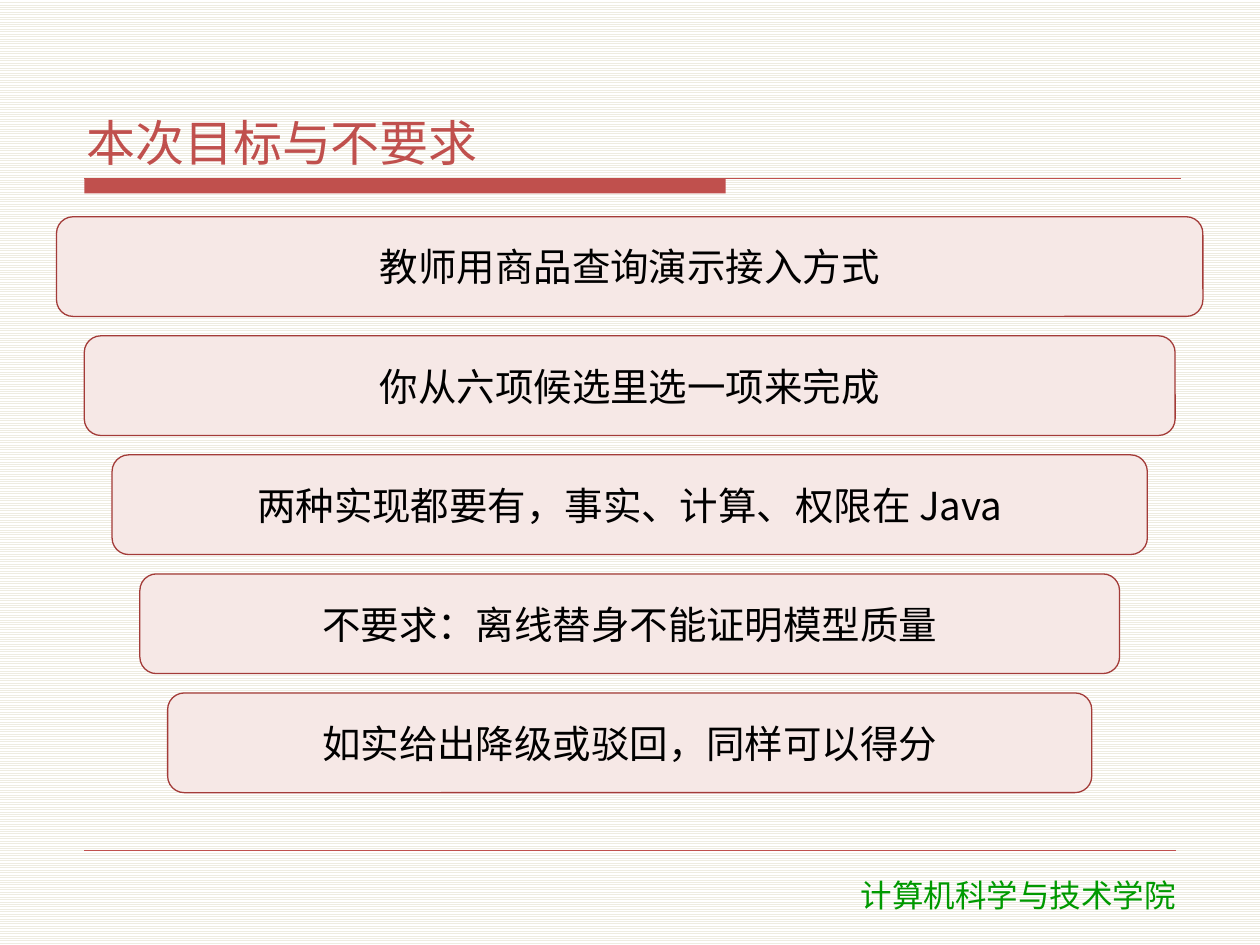
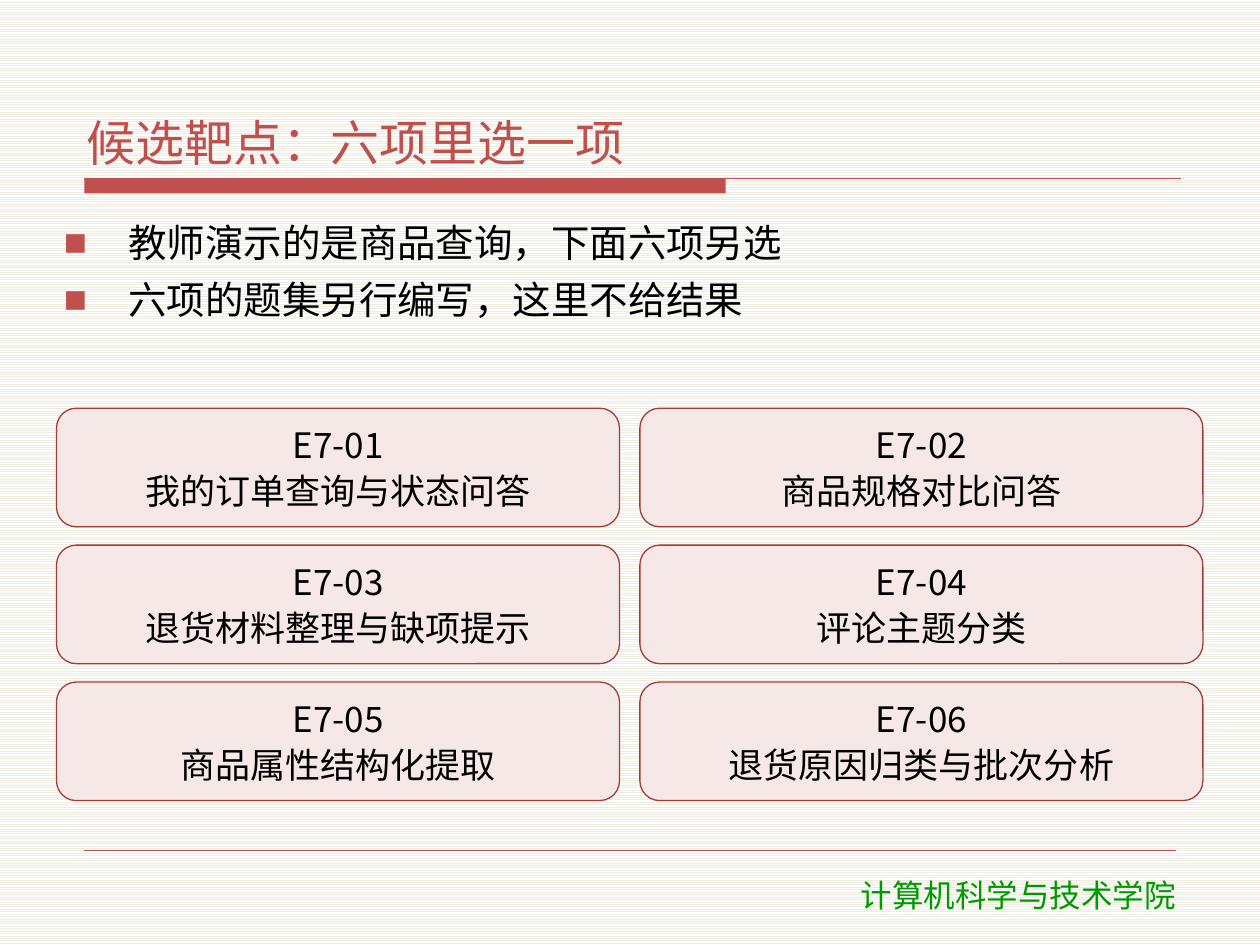
from lxml.etree import SubElement
from pptx import Presentation
from pptx.dml.color import RGBColor
from pptx.enum.dml import MSO_PATTERN
from pptx.enum.shapes import MSO_CONNECTOR, MSO_SHAPE
from pptx.enum.text import MSO_ANCHOR, MSO_AUTO_SIZE, PP_ALIGN
from pptx.oxml.ns import qn
from pptx.util import Cm, Pt

RED = RGBColor(0xC0, 0x50, 0x4D)
DARK_RED = RGBColor(0xA3, 0x3B, 0x38)
PINK = RGBColor(0xF6, 0xE8, 0xE6)
GREEN = RGBColor(0x00, 0x99, 0x00)
BLACK = RGBColor(0x00, 0x00, 0x00)
CREAM = RGBColor(0xEE, 0xEC, 0xE1)
WHITE = RGBColor(0xFF, 0xFF, 0xFF)
CJK_FONT = "Noto Sans CJK SC"
FOOTER_FONT = "DejaVu Sans"

FRAME = {
    "word_wrap": True,
    "auto_size": MSO_AUTO_SIZE.NONE,
    "margin_left": Cm(0.15),
    "margin_right": Cm(0.15),
    "margin_top": Cm(0.05),
    "margin_bottom": Cm(0.05),
}
TITLE_BOX = {"left": Cm(1.59), "top": Cm(0.84), "width": Cm(22.22), "height": Cm(2.67)}
LIST_BOX = {"left": Cm(1.14), "top": Cm(4.37), "width": Cm(23.11), "height": Cm(3.66)}


def write_text(sp, lines, size, color, align, anchor, font=CJK_FONT, gap=0, bullet=None):
    tf = sp.text_frame
    for name, value in {**FRAME, "vertical_anchor": anchor}.items():
        setattr(tf, name, value)
    for i, line in enumerate(lines):
        p = tf.paragraphs[0] if i == 0 else tf.add_paragraph()
        if bullet:
            pPr = p._p.get_or_add_pPr()
            pPr.set("marL", str(Cm(1.3)))
            pPr.set("indent", str(-Cm(1.3)))
            SubElement(SubElement(pPr, qn("a:buClr")), qn("a:srgbClr"), val=str(RED))
            SubElement(pPr, qn("a:buChar"), char=bullet)
        spacing = {
            "alignment": align,
            "space_before": Pt(gap if i else 0),
            "space_after": Pt(2),
        }
        for name, value in spacing.items():
            setattr(p, name, value)
        r = p.add_run()
        r.text = line
        for name, value in {"size": Pt(size), "name": font, "bold": False}.items():
            setattr(r.font, name, value)
        r.font.color.rgb = color
        SubElement(r._r.get_or_add_rPr(), qn("a:ea"), typeface=font)


def add_rule(s, right, y, width):
    line = s.shapes.add_connector(MSO_CONNECTOR.STRAIGHT, Cm(1.7), y, right, y)
    line.line.color.rgb = RED
    line.line.width = Pt(width)
    SubElement(line._element.spPr, qn("a:effectLst"))


goals = [
    "教师用商品查询演示接入方式",
    "你从六项候选里选一项来完成",
    "两种实现都要有，事实、计算、权限在 Java",
    "不要求：离线替身不能证明模型质量",
    "如实给出降级或驳回，同样可以得分",
]
topics = [
    "我的订单查询与状态问答",
    "商品规格对比问答",
    "退货材料整理与缺项提示",
    "评论主题分类",
    "商品属性结构化提取",
    "退货原因归类与批次分析",
]
goal_cards = [
    (1.14 + 0.56 * i, 4.37 + 2.4 * i, 23.11 - 1.12 * i, 2.01, [goal])
    for i, goal in enumerate(goals)
]
topic_cards = [
    (1.14 + 11.76 * (i % 2), 8.23 + 2.76 * (i // 2), 11.35, 2.39, [f"E7-{i + 1:02}", topic])
    for i, topic in enumerate(topics)
]
slides = [
    {"title": "本次目标与不要求", "layout": 5, "list": [], "cards": goal_cards, "size": 22},
    {
        "title": "候选靶点：六项里选一项",
        "layout": 1,
        "list": ["教师演示的是商品查询，下面六项另选", "六项的题集另行编写，这里不给结果"],
        "cards": topic_cards,
        "size": 20,
    },
]

prs = Presentation()
prs.slide_width = Cm(25.4)
prs.slide_height = Cm(19.05)

fill = prs.slide_master.background.fill
fill.patterned()
fill.pattern = MSO_PATTERN.LIGHT_HORIZONTAL
fill.fore_color.rgb = CREAM
fill.back_color.rgb = WHITE

for content in slides:
    s = prs.slides.add_slide(prs.slide_layouts[content["layout"]])

    band = s.shapes.add_shape(MSO_SHAPE.RECTANGLE, Cm(1.7), Cm(3.6), Cm(12.93), Cm(0.3))
    band.shadow.inherit = False
    band.fill.solid()
    band.fill.fore_color.rgb = RED
    band.line.fill.background()
    add_rule(s, Cm(23.8), Cm(3.6), 0.75)
    add_rule(s, Cm(23.7), Cm(17.15), 0.25)

    footer = s.shapes.add_textbox(Cm(15.42), Cm(17.6), Cm(10.21), Cm(1.02))
    write_text(footer, ["计算机科学与技术学院"], 18, GREEN, PP_ALIGN.CENTER, MSO_ANCHOR.TOP, FOOTER_FONT)

    title = s.shapes.title
    for name, value in TITLE_BOX.items():
        setattr(title, name, value)
    write_text(title, [content["title"]], 28, RED, PP_ALIGN.LEFT, MSO_ANCHOR.BOTTOM)

    if content["list"]:
        body = s.placeholders[1]
        for name, value in LIST_BOX.items():
            setattr(body, name, value)
        write_text(body, content["list"], 22, BLACK, PP_ALIGN.LEFT, MSO_ANCHOR.TOP, gap=4, bullet="■")

    for left, top, width, height, lines in content["cards"]:
        card = s.shapes.add_shape(
            MSO_SHAPE.ROUNDED_RECTANGLE, Cm(left), Cm(top), Cm(width), Cm(height)
        )
        card.shadow.inherit = False
        card.fill.solid()
        card.fill.fore_color.rgb = PINK
        card.line.color.rgb = DARK_RED
        card.line.width = Pt(0.75)
        write_text(card, lines, content["size"], BLACK, PP_ALIGN.CENTER, MSO_ANCHOR.MIDDLE)

prs.save("out.pptx")
